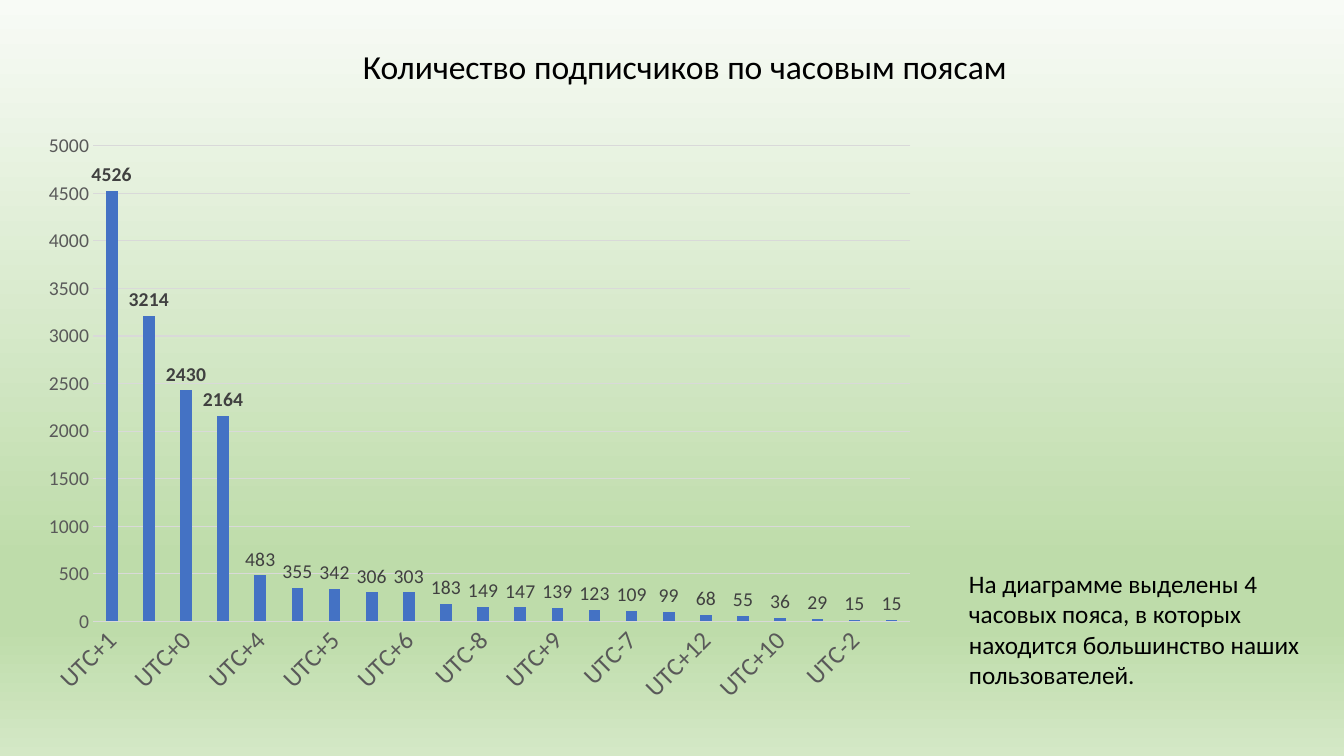
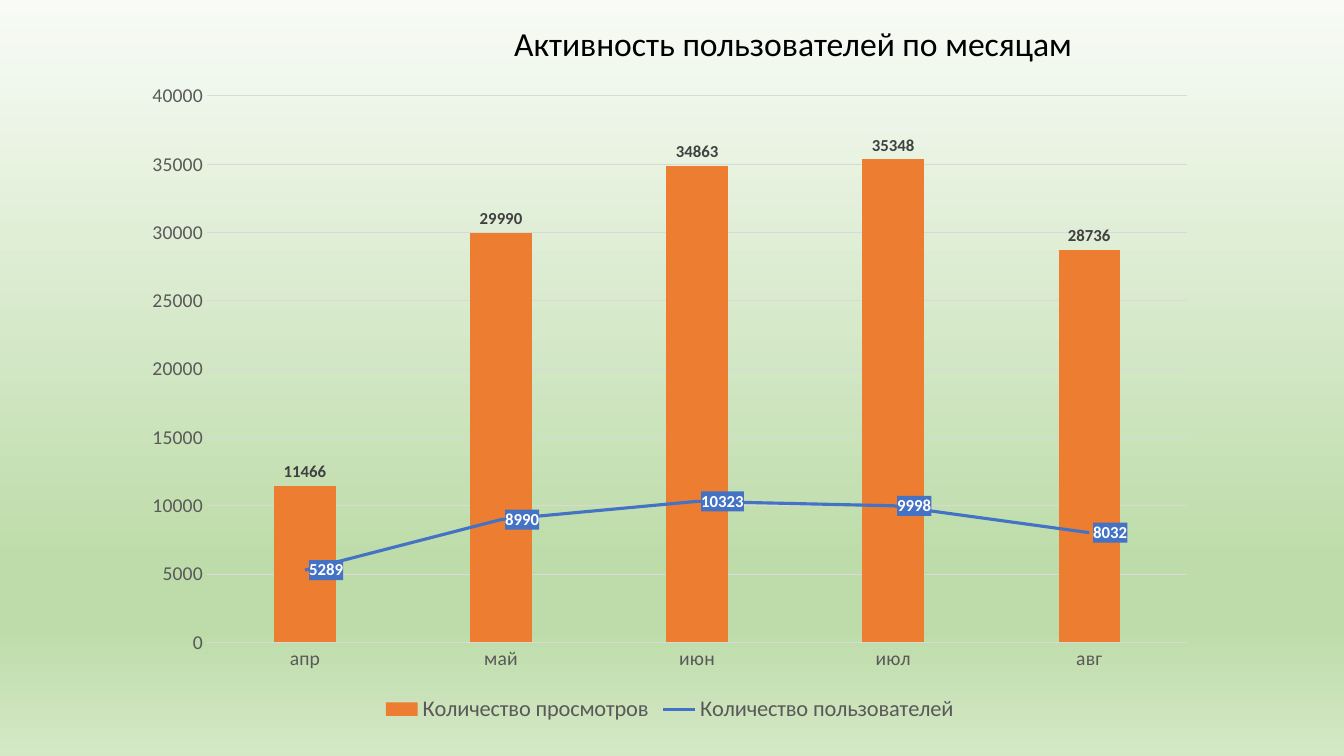
from lxml import etree
from pptx import Presentation
from pptx.chart.data import CategoryChartData
from pptx.dml.color import RGBColor
from pptx.enum import chart as ch, text
from pptx.oxml import parse_xml
from pptx.oxml.ns import nsdecls, qn
from pptx.util import Pt

FONT = "Calibri"
BLACK = RGBColor(0x00, 0x00, 0x00)
WHITE = RGBColor(0xFF, 0xFF, 0xFF)
AXIS_GREY = RGBColor(0x59, 0x59, 0x59)
LABEL_GREY = RGBColor(0x40, 0x40, 0x40)
GRID_GREY = RGBColor(0xD9, 0xD9, 0xD9)
BLUE = RGBColor(0x44, 0x72, 0xC4)
ORANGE = RGBColor(0xED, 0x7D, 0x31)
# Background stops: percent from the top, colour
BACKGROUND = [
    (0, RGBColor(0xF8, 0xFB, 0xF6)),
    (74, RGBColor(0xBE, 0xDC, 0xAA)),
    (83, RGBColor(0xBE, 0xDC, 0xAA)),
    (100, RGBColor(0xD4, 0xE8, 0xC6)),
]

ZONES_TITLE = "Количество подписчиков по часовым поясам"
ZONES_NOTE = ("На диаграмме выделены 4 часовых пояса, в которых находится "
              "большинство наших пользователей.")
SUBSCRIBERS = {
    "UTC+1": 4526, "UTC+2": 3214, "UTC+0": 2430, "UTC+3": 2164,
    "UTC+4": 483, "UTC+7": 355, "UTC+5": 342, "UTC-4": 306,
    "UTC+6": 303, "UTC-5": 183, "UTC-8": 149, "UTC-3": 147,
    "UTC+9": 139, "UTC-6": 123, "UTC-7": 109, "UTC+8": 99,
    "UTC+12": 68, "UTC+11": 55, "UTC+10": 36, "UTC-1": 29,
    "UTC-2": 15, "UTC-9": 15,
}
LEADING_ZONES = 4

MONTHS_TITLE = "Активность пользователей по месяцам"
MONTHS = ["апр", "май", "июн", "июл", "авг"]
ACTIVITY = {
    "Количество просмотров": [11466, 29990, 34863, 35348, 28736],
    "Количество пользователей": [5289, 8990, 10323, 9998, 8032],
}


def style_font(font, size, color, bold=False):
    font.name, font.size, font.bold = FONT, Pt(size), bold
    font.color.rgb = color


def write(sp, content, box, size=18, color=BLACK, wrap=True):
    """Place sp at box (points) and fill it with one left-aligned paragraph."""
    sp.left, sp.top, sp.width, sp.height = map(Pt, box)
    tf = sp.text_frame
    tf.auto_size = text.MSO_AUTO_SIZE.NONE
    tf.word_wrap = wrap
    tf.vertical_anchor = text.MSO_ANCHOR.TOP
    p = tf.paragraphs[0]
    p.alignment = text.PP_ALIGN.LEFT
    r = p.add_run()
    r.text = content
    style_font(r.font, size, color)


def paint_background(master):
    fill = master.background.fill
    fill.gradient()
    fill.gradient_angle = 270
    stops = master.element.find(".//" + qn("a:gsLst"))
    for stop in list(stops):
        stops.remove(stop)
    for percent, color in BACKGROUND:
        gs = etree.SubElement(stops, qn("a:gs"), pos=str(percent * 1000))
        etree.SubElement(gs, qn("a:srgbClr"), val=str(color))


def add_titled_slide(prs, title, box):
    slide = prs.slides.add_slide(prs.slide_layouts[5])
    write(slide.shapes.title, title, box, size=24, wrap=False)
    return slide


def add_columns(slide, box, cats, series, top, step, cat_size):
    data = CategoryChartData()
    data.categories = cats
    for name, values in series.items():
        data.add_series(name, values)
    chart = slide.shapes.add_chart(
        ch.XL_CHART_TYPE.COLUMN_CLUSTERED, *map(Pt, box), data).chart
    chart.has_title = chart.has_legend = False
    style_font(chart.font, 10, BLACK)
    plot = chart.plots[0]
    plot.gap_width, plot.overlap = 219, -27
    plot.vary_by_categories = False

    cat_axis, val_axis = chart.category_axis, chart.value_axis
    for axis, size in ((cat_axis, cat_size), (val_axis, 14)):
        axis.major_tick_mark = axis.minor_tick_mark = ch.XL_TICK_MARK.NONE
        style_font(axis.tick_labels.font, size, AXIS_GREY)
    val_axis.minimum_scale, val_axis.maximum_scale = 0, top
    val_axis.major_unit = step
    val_axis.has_major_gridlines = True
    val_axis.format.line.fill.background()
    for line in (cat_axis.format.line, val_axis.major_gridlines.format.line):
        line.color.rgb, line.width = GRID_GREY, Pt(0.75)
    return chart


def label_values(series, size, color, position, bold=False):
    labels = series.data_labels
    labels.show_value = True
    labels.number_format, labels.number_format_is_linked = "0", False
    labels.position = position
    style_font(labels.font, size, color, bold)
    return labels


def color_columns(series, color):
    series.format.fill.solid()
    series.format.fill.fore_color.rgb = color


def turn_last_series_into_line(chart):
    """Move the last column series to a line plot on the same axes."""
    bars = chart.plots[0]._element
    ser = bars.findall(qn("c:ser"))[-1]
    line_plot = parse_xml(
        f'<c:lineChart {nsdecls("c")}><c:grouping val="standard"/>'
        '<c:varyColors val="0"/><c:marker val="1"/></c:lineChart>')
    for invert in ser.findall(qn("c:invertIfNegative")):
        ser.remove(invert)
    line_plot.insert(2, ser)
    for axis_id in bars.findall(qn("c:axId")):
        etree.SubElement(line_plot, qn("c:axId"), val=axis_id.get("val"))
    bars.addnext(line_plot)
    return chart.plots[1].series[0]


def fill_labels(labels, color):
    sp_pr = parse_xml(
        f'<c:spPr {nsdecls("c", "a")}><a:solidFill>'
        f'<a:srgbClr val="{color}"/></a:solidFill></c:spPr>')
    labels._element.find(qn("c:txPr")).addprevious(sp_pr)


def build_zones(prs):
    slide = add_titled_slide(prs, ZONES_TITLE, (252, 29, 484, 58))
    chart = add_columns(slide, (22, 87, 641, 424), list(SUBSCRIBERS),
                        {"Series 1": list(SUBSCRIBERS.values())},
                        top=5000, step=500, cat_size=18)
    tick_text = chart.category_axis._element.find(qn("c:txPr"))
    tick_text.find(qn("a:bodyPr")).set("rot", str(-45 * 60000))
    columns = chart.plots[0].series[0]
    color_columns(columns, BLUE)
    above = ch.XL_LABEL_POSITION.OUTSIDE_END
    label_values(columns, 14, LABEL_GREY, above)
    for i in range(LEADING_ZONES):
        label = columns.points[i].data_label
        style_font(label.font, 14, LABEL_GREY, bold=True)
        label.position = above
    note_box = (685, 402.5, 267, 94)
    write(slide.shapes.add_textbox(*map(Pt, note_box)), ZONES_NOTE, note_box)


def build_months(prs):
    slide = add_titled_slide(prs, MONTHS_TITLE, (360, 13, 422, 58))
    chart = add_columns(slide, (93.5, 50.5, 770, 469), MONTHS, ACTIVITY,
                        top=40000, step=5000, cat_size=14)
    chart.has_legend = True
    chart.legend.position = ch.XL_LEGEND_POSITION.BOTTOM
    chart.legend.include_in_layout = False
    style_font(chart.legend.font, 16, AXIS_GREY)

    users = turn_last_series_into_line(chart)
    users.smooth = False
    users.marker.style = ch.XL_MARKER_STYLE.NONE
    users.format.line.color.rgb, users.format.line.width = BLUE, Pt(2.25)
    fill_labels(label_values(users, 12, WHITE, ch.XL_LABEL_POSITION.RIGHT,
                             bold=True), BLUE)

    views = chart.plots[0].series[0]
    color_columns(views, ORANGE)
    label_values(views, 12, LABEL_GREY, ch.XL_LABEL_POSITION.OUTSIDE_END,
                 bold=True)


def main():
    prs = Presentation()
    prs.slide_width, prs.slide_height = Pt(960), Pt(540)
    paint_background(prs.slide_master)
    build_zones(prs)
    build_months(prs)
    prs.save("out.pptx")


if __name__ == "__main__":
    main()
